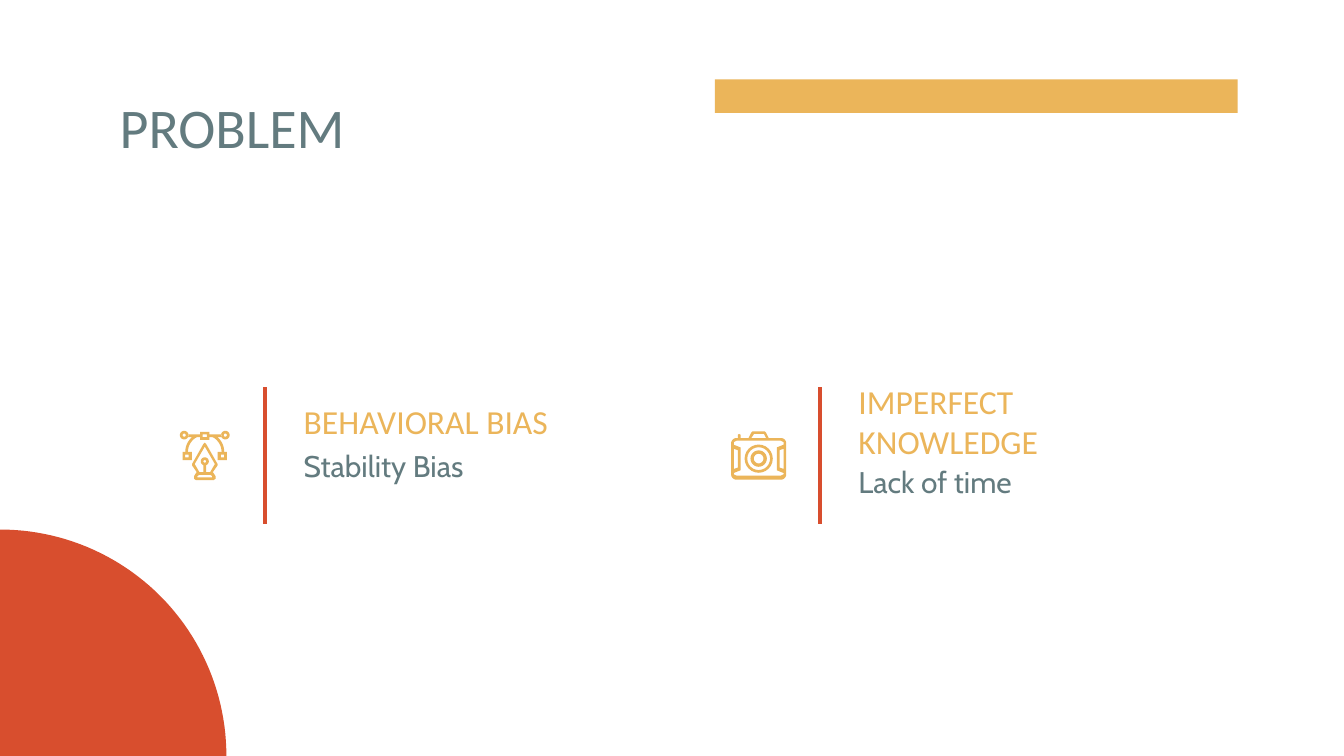
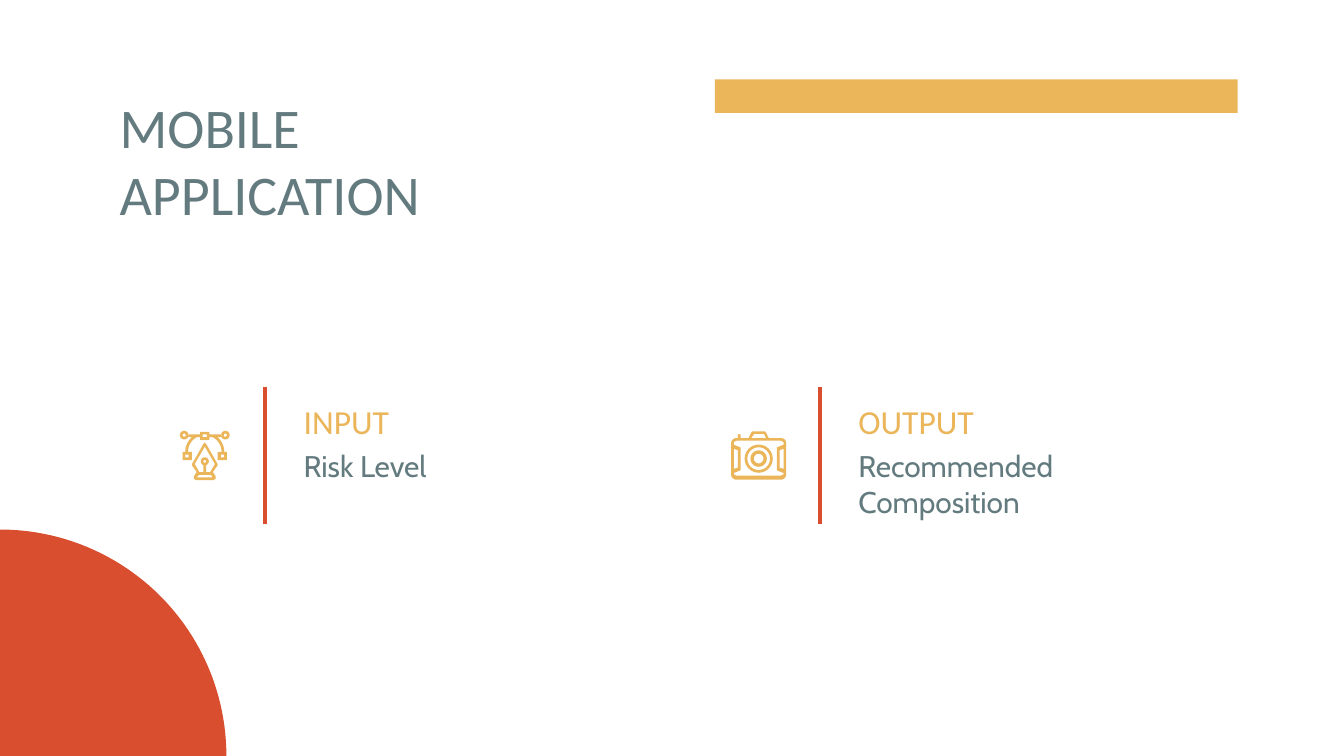
"""Build two slides that each set a title over two icon columns."""
from math import cos, radians, sin

from lxml.etree import SubElement
from pptx import Presentation
from pptx.dml.color import RGBColor
from pptx.enum.shapes import MSO_SHAPE as Preset
from pptx.enum.text import MSO_ANCHOR as Anchor, MSO_AUTO_SIZE as AutoSize, PP_ALIGN as Align
from pptx.oxml.ns import qn
from pptx.util import Pt

SLIDES = [
    {
        "title": ["PROBLEM"],
        "columns": [
            {"head": "BEHAVIORAL BIAS", "body": "Stability Bias", "head_top": 207.4, "body_top": 232.6},
            {"head": "IMPERFECT KNOWLEDGE", "body": "Lack of time", "head_top": 196.6, "body_top": 241.2},
        ],
    },
    {
        "title": ["MOBILE", "APPLICATION"],
        "columns": [
            {"head": "INPUT", "body": "Risk Level", "head_top": 207.4, "body_top": 232.6},
            {"head": "OUTPUT", "body": "Recommended Composition", "head_top": 207.4, "body_top": 232.6},
        ],
    },
]

COLORS = {"slate": "637B7F", "gold": "EBB55A", "red": "D84E2E"}
STYLES = {
    "title": {"font": "Calibri", "size": 30, "color": "slate", "after": 0},
    "head": {"font": "Calibri", "size": 18, "color": "gold", "after": 16},
    "body": {"font": "Cabin", "size": 16, "color": "slate", "after": 16},
}

WIDTH, HEIGHT = 720, 405
TITLE_BOX = (56.9, 42.5, 303.1, 45.4)
BAND_BOX = (383, 42.5, 280.1, 18)
QUADRANT_RADIUS = 121.3
INSET = 7.2
COLUMN_PITCH = 297.2
DIVIDER_BOX = (141.1, 207.4, 2.2, 73.2)
TEXT_LEFT, TEXT_WIDTH, HEAD_HEIGHT, BODY_HEIGHT = 155.5, 180, 26.6, 45.4
ICON_GRID = 0.72
PEN_WIDTH, CAMERA_WIDTH = 37, 41


def arc(x, y, radius, start, end, steps=24):
    angles = [radians(start + (end - start) * step / steps) for step in range(steps + 1)]
    return [(x + radius * cos(angle), y + radius * sin(angle)) for angle in angles]


def circle(x, y, radius):
    return arc(x, y, radius, 0, 360)


def box(left, top, width, height):
    right, bottom = left + width, top + height
    return [(left, top), (right, top), (right, bottom), (left, bottom)]


def mirror(contours, width):
    return [[(width - x, y) for x, y in contour] for contour in contours]


def pen_parts():
    nib = [
        [(18.5, 9), (17.5, 10), (9, 25), (9, 26), (12.5, 31), (10.5, 34), (10.5, 36), (12, 37),
         (25, 37), (26.5, 36), (26.5, 34), (24.5, 31), (28, 26), (28, 25), (19.5, 10)],
        [(18.5, 12), (26, 25), (22.5, 31), (19.5, 31), *arc(18.5, 23, 3, 71, -251),
         (17.5, 31), (14.5, 31), (11, 25)],
        [(22.5, 33), (24, 34), (24, 35), (13, 35), (13, 34), (14.5, 33)],
        circle(18.5, 23, 1),
    ]
    arm = arc(18.5, 16, 14.5, 180, 252) + arc(18.5, 16, 12.5, 252, 180)
    side = [
        circle(3.2, 3.5, 3.2), circle(3.2, 3.5, 1.2), box(6, 3, 9, 2),
        [(x, max(y, 5)) for x, y in arm],
        box(2, 16, 7, 6), box(4, 18, 2.5, 2),
    ]
    handles = side + mirror(side, PEN_WIDTH) + [box(15, 1, 7, 6), box(17, 3, 3, 2)]
    return [nib, handles]


def camera_parts():
    panel = [[(2, 13), (5, 14), (5, 27), (2, 28)]]
    case = [
        [*arc(4, 9, 4, 180, 270), (5, 5), (5, 2.5), (6, 2), (7, 2.5), (7, 5),
         (13, 5), (15, 1), (16, 0), (25, 0), (26, 1), (28, 5),
         *arc(37, 9, 4, 270, 360), *arc(37, 32, 4, 0, 90), *arc(4, 32, 4, 90, 180)],
        [(17, 2), (24.5, 2), (26, 5), (15, 5)],
        [(4, 7), (37, 7), (39, 8), (39, 10), (34, 12), (34, 29), (39, 31), (39, 32),
         (37, 33), (4, 33), (2, 32), (2, 31), (7, 29), (7, 12), (2, 10), (2, 8)],
    ] + panel + mirror(panel, CAMERA_WIDTH)
    lens = [[circle(20.5, 20.3, outer), circle(20.5, 20.3, inner)]
            for outer, inner in ((10.5, 8.5), (6.1, 3.6))]
    return lens + [case]


ICONS = [
    {"left": 96.4, "top": 230.6, "parts": pen_parts()},
    {"left": 391.7, "top": 231.1, "parts": camera_parts()},
]


def paint(shape, color):
    shape.shadow.inherit = False
    shape.fill.solid()
    shape.fill.fore_color.rgb = RGBColor.from_string(COLORS[color])
    shape.line.fill.background()


def draw_outline(shapes, contours, color, left=0, top=0, scale=1):
    placed = [[(Pt(left + x * scale), Pt(top + y * scale)) for x, y in contour]
              for contour in contours]
    builder = shapes.build_freeform(*placed[0][0], scale=1.0)
    builder.add_line_segments(placed[0][1:], close=True)
    for contour in placed[1:]:
        builder.move_to(*contour[0])
        builder.add_line_segments(contour[1:], close=True)
    paint(builder.convert_to_shape(), color)


def fill_placeholder(shape, bounds, lines, style_name):
    style = STYLES[style_name]
    shape.left, shape.top, shape.width, shape.height = map(Pt, bounds)
    frame = shape.text_frame
    frame.word_wrap = True
    frame.auto_size = AutoSize.NONE
    frame.vertical_anchor = Anchor.TOP
    frame.margin_left = frame.margin_right = Pt(INSET)
    frame.margin_top = frame.margin_bottom = Pt(INSET)
    for index, line in enumerate(lines):
        paragraph = frame.add_paragraph() if index else frame.paragraphs[0]
        paragraph.alignment = Align.LEFT
        paragraph.space_before = Pt(0)
        paragraph.space_after = Pt(style["after"])
        properties = paragraph._p.get_or_add_pPr()
        properties.set("marL", "0")
        properties.set("indent", "0")
        SubElement(properties, qn("a:buNone"))
        run = paragraph.add_run()
        run.text = line
        run.font.name = style["font"]
        run.font.size = Pt(style["size"])
        run.font.bold = False
        run.font.color.rgb = RGBColor.from_string(COLORS[style["color"]])


def draw_decor(slide):
    paint(slide.shapes.add_shape(Preset.RECTANGLE, *map(Pt, BAND_BOX)), "gold")
    quadrant = [(0, HEIGHT), *arc(0, HEIGHT, QUADRANT_RADIUS, -90, 0, 48)]
    draw_outline(slide.shapes, [quadrant], "red")


def draw_column(slide, index, column):
    shift = index * COLUMN_PITCH
    text_left = TEXT_LEFT + shift
    head, body = (slide.placeholders[index * 2 + offset] for offset in (1, 2))
    fill_placeholder(head, (text_left, column["head_top"], TEXT_WIDTH, HEAD_HEIGHT),
                     [column["head"]], "head")
    fill_placeholder(body, (text_left, column["body_top"], TEXT_WIDTH, BODY_HEIGHT),
                     [column["body"]], "body")
    draw_outline(slide.shapes, [box(*DIVIDER_BOX)], "red", left=shift)
    icon = ICONS[index]
    group = slide.shapes.add_group_shape()
    for contours in icon["parts"]:
        draw_outline(group.shapes, contours, "gold", icon["left"], icon["top"], ICON_GRID)


def main():
    presentation = Presentation()
    presentation.slide_width, presentation.slide_height = Pt(WIDTH), Pt(HEIGHT)
    layout = presentation.slide_layouts.get_by_name("Comparison")
    for content in SLIDES:
        slide = presentation.slides.add_slide(layout)
        draw_decor(slide)
        fill_placeholder(slide.shapes.title, TITLE_BOX, content["title"], "title")
        for index, column in enumerate(content["columns"]):
            draw_column(slide, index, column)
    presentation.save("out.pptx")


if __name__ == "__main__":
    main()
